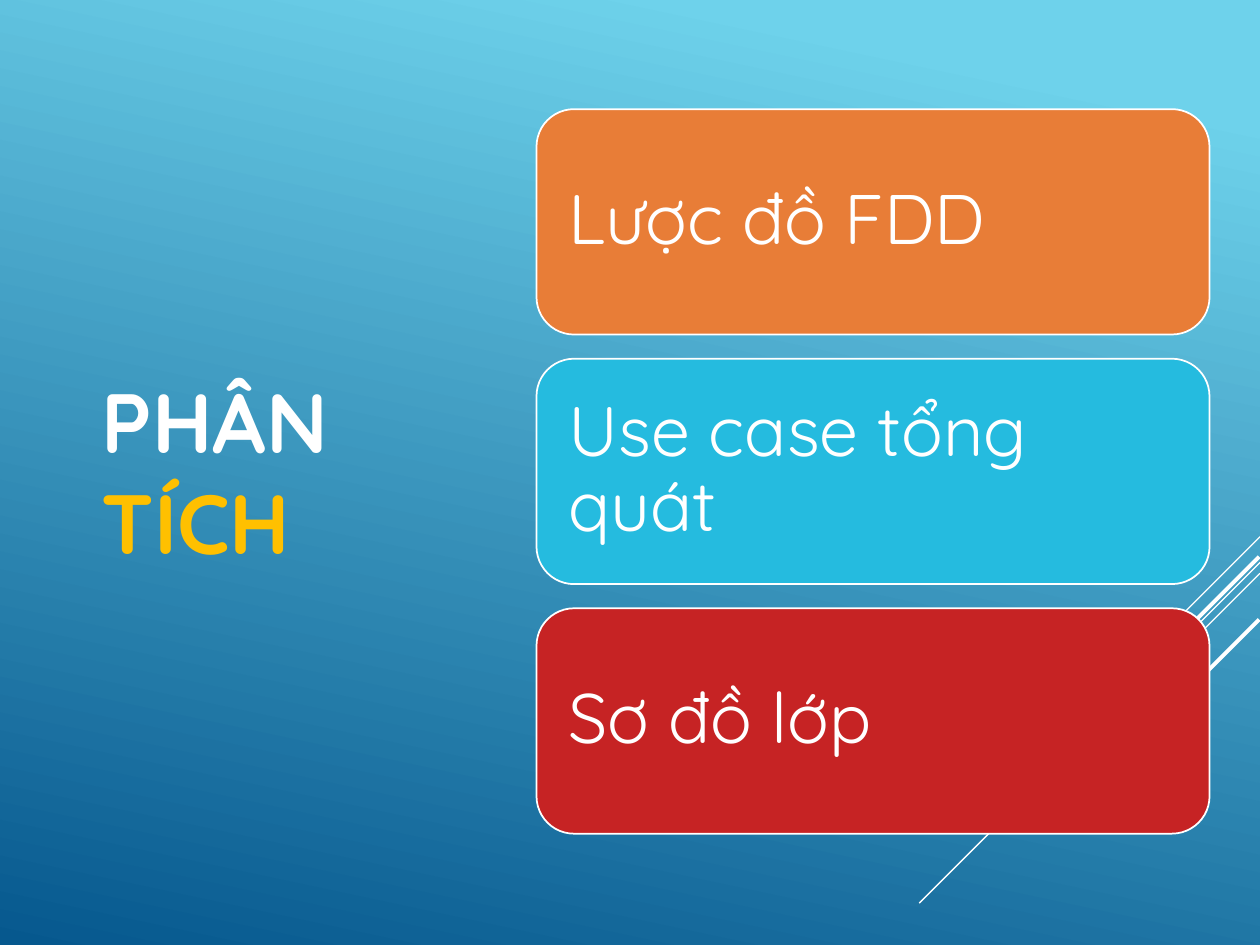
"""Build the analysis section slide with three topic cards."""
from typing import NamedTuple

import pptx
import pptx.dml.color
import pptx.enum.shapes
import pptx.enum.text
import pptx.oxml
import pptx.util

Pt = pptx.util.Pt
FONT = "Quicksand"
WHITE = "FFFFFF"


class Card(NamedTuple):
    text: str
    fill: str


class Ray(NamedTuple):
    right: float
    top: float
    left: float
    low: float
    width: float


CARDS = [
    Card("Lược đồ FDD", "E87D37"),
    Card("Use case tổng quát", "25BBDF"),
    Card("Sơ đồ lớp", "C62324"),
]
CARD_X, CARD_Y, CARD_W, CARD_H = 306.6, 62.4, 384.6, 128.8
STEP = 142.6

RAYS = [
    Ray(720, 306.7, 660.2, 366.5, 0.75),
    Ray(720, 321.4, 525.3, 516.1, 0.75),
    Ray(720, 327.6, 596.2, 451.4, 0.75),
    Ray(719.5, 318.2, 606.2, 431.5, 2.25),
    Ray(719.5, 354, 637.2, 436.3, 2.25),
]


def color(code: str) -> pptx.dml.color.RGBColor:
    return pptx.dml.color.RGBColor.from_string(code)


def write(shape, runs: list[tuple[str, str]], *, size: float,
          bold: bool = False, inset: float = 7.2, space: float = 1) -> None:
    frame = shape.text_frame
    frame.word_wrap = True
    frame.vertical_anchor = pptx.enum.text.MSO_ANCHOR.MIDDLE
    frame.margin_left = frame.margin_right = Pt(inset)
    frame.margin_top = frame.margin_bottom = Pt(inset)
    para = frame.paragraphs[0]
    para.alignment = pptx.enum.text.PP_ALIGN.LEFT
    para.line_spacing = space
    for text, code in runs:
        run = para.add_run()
        run.text = text
        run.font.name = FONT
        run.font.size = Pt(size)
        run.font.bold = bold
        run.font.color.rgb = color(code)


def paint(slide) -> None:
    fill = slide.background.fill
    fill.gradient()
    fill.gradient_angle = 360 - 102
    stops = zip(fill.gradient_stops, [(0.1, "6ED2EB"), (1, "06588E")])
    for stop, (place, code) in stops:
        stop.position = place
        stop.color.rgb = color(code)


def draw_ray(slide, ray: Ray) -> None:
    line = slide.shapes.add_connector(
        pptx.enum.shapes.MSO_CONNECTOR.STRAIGHT,
        Pt(ray.right), Pt(ray.top), Pt(ray.left), Pt(ray.low))
    line.line.color.rgb = color(WHITE)
    line.line.width = Pt(ray.width)
    props = line.element.spPr
    props.append(pptx.oxml.parse_xml(
        '<a:effectLst xmlns:a='
        '"http://schemas.openxmlformats.org/drawingml/2006/main"/>'))


def draw_card(slide, card: Card, top: float) -> None:
    shape = slide.shapes.add_shape(
        pptx.enum.shapes.MSO_SHAPE.ROUNDED_RECTANGLE,
        Pt(CARD_X), Pt(top), Pt(CARD_W), Pt(CARD_H))
    shape.shadow.inherit = False
    shape.fill.solid()
    shape.fill.fore_color.rgb = color(card.fill)
    shape.line.color.rgb = color(WHITE)
    shape.line.width = Pt(1)
    write(shape, [(card.text, WHITE)], size=40, inset=12, space=0.9)


def main() -> None:
    deck = pptx.Presentation()
    deck.slide_width, deck.slide_height = Pt(720), Pt(540)
    slide = deck.slides.add_slide(deck.slide_layouts[6])
    paint(slide)
    for ray in RAYS:
        draw_ray(slide, ray)
    title = slide.shapes.add_textbox(Pt(51), Pt(80), Pt(201.6), Pt(377.3))
    write(title, [("PHÂN ", WHITE), ("TÍCH", "FFC000")], size=48, bold=True)
    for row, card in enumerate(CARDS):
        draw_card(slide, card, CARD_Y + row * STEP)
    deck.save("out.pptx")


if __name__ == "__main__":
    main()
